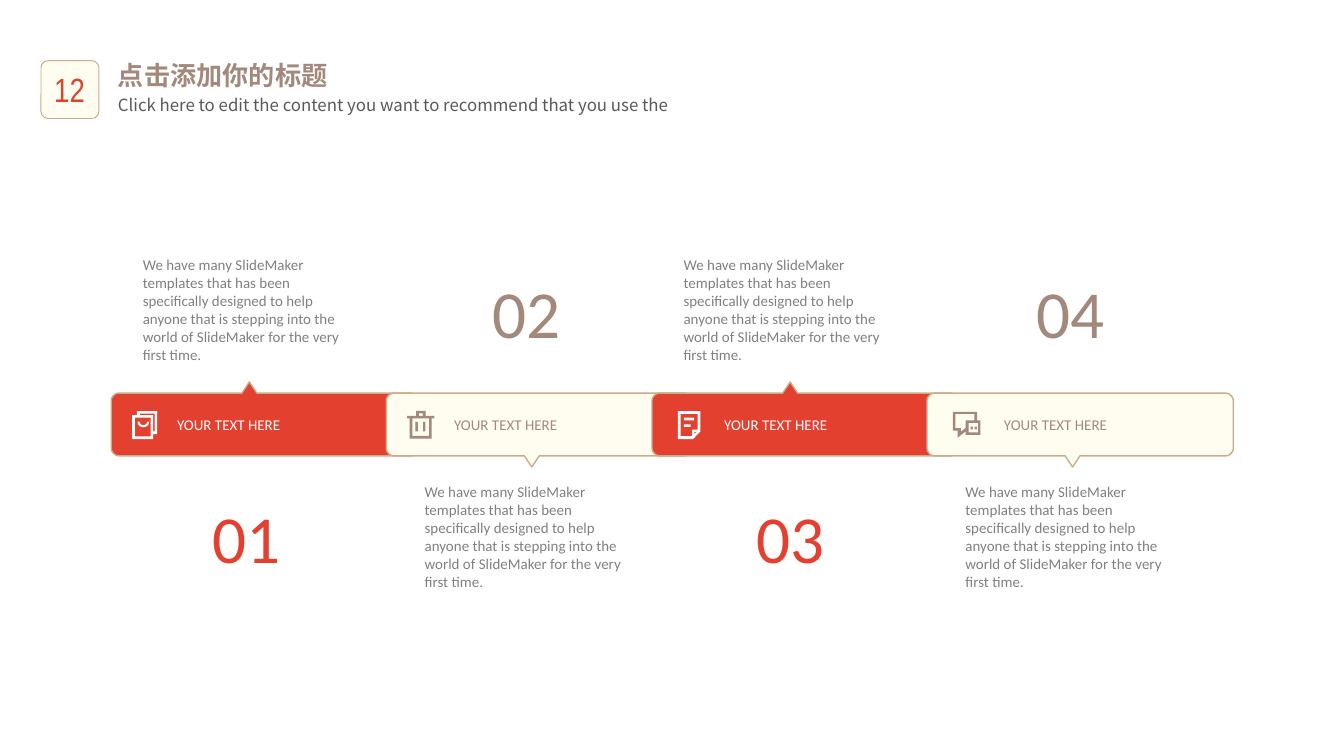
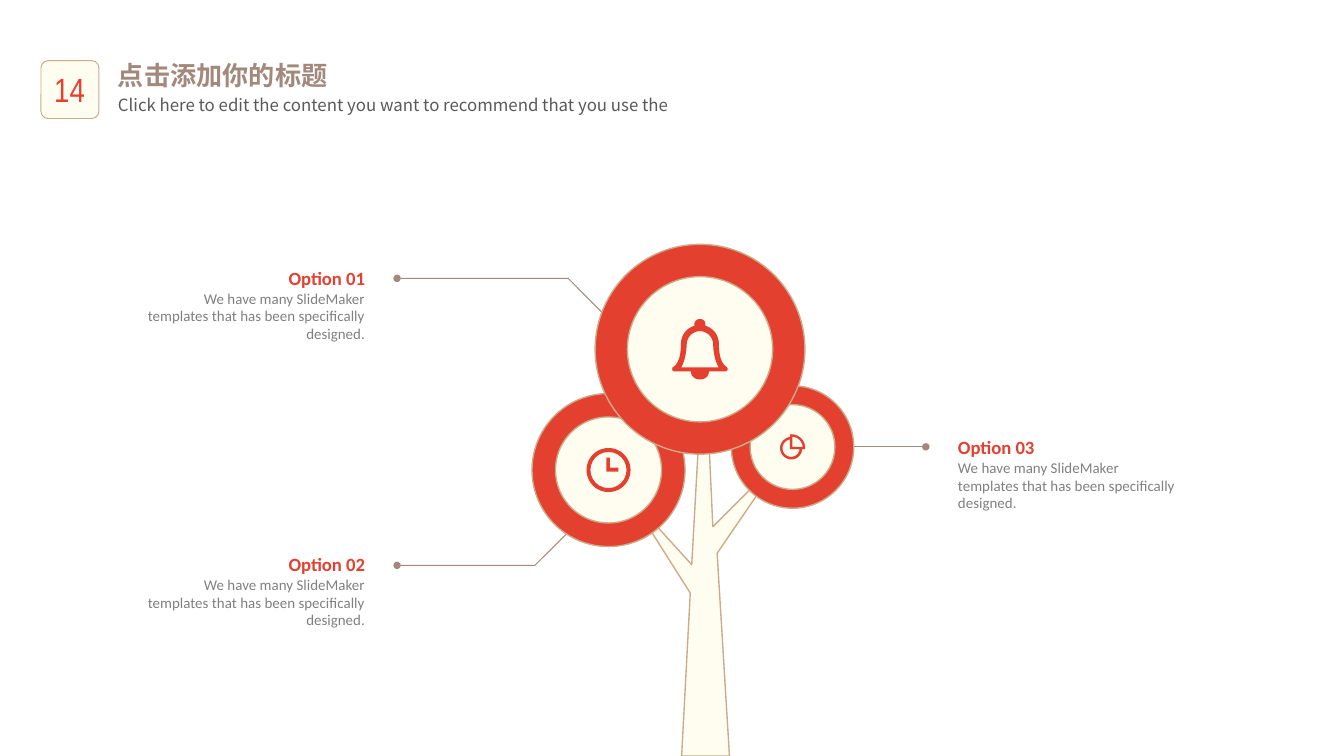
"""Build two infographic slides: a four-step banner and a tree with three options."""
from dataclasses import dataclass
from lxml.etree import SubElement as Sub
from pptx import Presentation
from pptx.dml.color import RGBColor as Rgb
from pptx.enum.shapes import MSO_CONNECTOR as Link, MSO_SHAPE as Kind
from pptx.enum.text import MSO_ANCHOR as Anchor, MSO_AUTO_SIZE as Fit, PP_ALIGN as Align
from pptx.oxml.ns import qn
from pptx.util import Pt


@dataclass(frozen=True)
class Theme:
    red: str = "E4402F"
    cream: str = "FFFDEF"
    tan: str = "CBAB89"
    brown: str = "A2897B"
    white: str = "FFFFFF"
    gray: str = "808080"
    dark: str = "595959"
    face: str = "Calibri"
    head: str = "Noto Sans CJK SC"
    slim: str = "Arial Narrow"
    title: int = 14
    sub: int = 9
    badge: int = 18
    count: int = 36
    name: int = 10
    text: int = 8


def draw(page, fig, fill=None, edge=None, box=None, at=(0, 0), wide=0.75, shut=True):
    """Draw a preset in a box, or contours of points and six-number curves."""
    if box:
        shape = page.shapes.add_shape(fig, *map(Pt, box))
    else:
        pen = None
        for path in fig:
            dots = []
            for step in path:
                if len(step) == 2:
                    dots.append(step)
                    continue
                ends = [dots[-1], step[:2], step[2:4], step[4:]]
                for t in (n / 8 for n in range(1, 9)):
                    u = 1 - t
                    mix = (u ** 3, 3 * u * u * t, 3 * u * t * t, t ** 3)
                    dots.append(tuple(sum(m * e[k] for m, e in zip(mix, ends)) for k in (0, 1)))
            dots = [((x + at[0]) * 100, (y + at[1]) * 100) for x, y in dots]
            if pen:
                pen.move_to(*dots[0])
            else:
                pen = page.shapes.build_freeform(*dots[0], scale=Pt(1) / 100)
            pen.add_line_segments(dots[1:], close=shut)
        shape = pen.convert_to_shape()
    shape.shadow.inherit = False
    if fill:
        shape.fill.solid()
        shape.fill.fore_color.rgb = Rgb.from_string(fill)
    else:
        shape.fill.background()
    if edge:
        shape.line.color.rgb = Rgb.from_string(edge)
        shape.line.width = Pt(wide)
    else:
        shape.line.fill.background()
    return shape


def write(shape, rows, face, side=Align.LEFT, wrap=True, pad=True, fit=Fit.SHAPE_TO_FIT_TEXT):
    """Fill a shape with rows of text, size, colour and weight."""
    frame = shape.text_frame
    frame.text = "\n".join(row[0] for row in rows)
    frame.word_wrap = wrap
    frame.auto_size = fit
    frame.vertical_anchor = Anchor.TOP
    if not pad:
        frame.margin_left = frame.margin_right = frame.margin_top = frame.margin_bottom = 0
    for para, (_, size, tint, bold) in zip(frame.paragraphs, rows):
        para.alignment = side
        para.space_before = Pt(0)
        font = para.runs[0].font
        font.size, font.bold, font.name = Pt(size), bold, face
        font.color.rgb = Rgb.from_string(tint)
        Sub(para.runs[0]._r.get_or_add_rPr(), qn("a:ea"), typeface=face)
    return frame


look = Theme()
deck = Presentation()
deck.slide_width, deck.slide_height = Pt(720), Pt(405)

pages = []
for number in ("12", "14"):
    page = deck.slides.add_slide(deck.slide_layouts[1])
    pages.append(page)
    badge = draw(page, Kind.ROUNDED_RECTANGLE, look.cream, look.tan, (22, 32.5, 31, 31), wide=0.5)
    badge.adjustments[0] = 0.123
    box = page.shapes.add_textbox(*map(Pt, (18.9, 33.4, 36.7, 29)))
    frame = write(box, [(number, look.badge, look.red, False)], look.slim, Align.CENTER)
    frame.vertical_anchor = Anchor.MIDDLE
    title, sub = page.placeholders
    heads = (
        (title, "点击添加你的标题", look.title, look.brown, True, 28.1, 33.8),
        (sub, "Click here to edit the content you want to recommend that you use the",
         look.sub, look.dark, False, 47.2, 23.8),
    )
    for hold, words, size, tint, bold, top, high in heads:
        hold.left, hold.top, hold.width, hold.height = map(Pt, (56, top, 620.6, high))
        frame = write(hold, [(words, size, tint, bold)], look.head, fit=Fit.NONE)
        prop = frame.paragraphs[0]._p.get_or_add_pPr()
        prop.set("marL", "0")
        prop.set("indent", "0")
        Sub(prop, qn("a:buNone"))

steps, tree = pages

bag = [
    [[(13.4, 0), (2.5, 0), (2.5, 2.2), (0, 2.2), (0, 15), (11.3, 15), (11.3, 12.4), (13.4, 12.4)],
     [(1.5, 3.6), (9.9, 3.6), (9.9, 13.6), (1.5, 13.6)],
     [(12, 10.9), (11.3, 10.9), (11.3, 2.2), (4.1, 2.2), (4.1, 1.4), (12, 1.4)]],
    [[(2.9, 5.7), (4, 5.7), (4, 8.2, 8.1, 8.2, 8.1, 5.7), (9.2, 5.7), (9.2, 9.7, 2.9, 9.7, 2.9, 5.7)]],
]
can = [
    [[(14.6, 2.7), (10, 2.7), (10, 0), (4.9, 0), (4.9, 2.7), (0, 2.7), (0, 4), (1.4, 4),
      (1.4, 14.8), (13.2, 14.8), (13.2, 4), (14.6, 4)],
     [(6.3, 1.3), (8.4, 1.3), (8.4, 2.7), (6.3, 2.7)],
     [(2.8, 4), (11.8, 4), (11.8, 13.4), (2.8, 13.4)]],
]
note = [
    [[(0, 0), (0, 15), (8.2, 15), (12.1, 11), (12.1, 0)],
     [(1.5, 1.5), (10.7, 1.5), (10.7, 10), (7.7, 10), (7.7, 13.5), (1.5, 13.5)],
     [(10, 11.2), (8.9, 12.4), (8.9, 11.2)]],
]
chat = [
    [[(13, 4.5), (13, 0), (0, 0), (0, 10), (2.5, 10), (2.5, 13.8), (6.8, 10.4), (6.8, 12.3),
      (14.8, 12.3), (14.8, 4.5)],
     [(6.8, 8.6), (4.3, 10.6), (4.3, 8.6), (1.4, 8.6), (1.4, 1.1), (11.5, 1.1), (11.5, 4.5), (6.8, 4.5)],
     [(8.4, 5.8), (13.5, 5.8), (13.5, 11), (8.4, 11)]],
]
icons = (
    (bag, (), (70.8, 220.2)),
    (can, ((4.5, 5.8, 1.3, 5.2), (8.6, 5.8, 1.3, 5.2)), (218.1, 220.2)),
    (note, ((3.3, 3.6, 5.4, 1.4), (3.3, 7.2, 3.6, 1.4)), (363.1, 220.2)),
    (chat, ((9.5, 7.9, 1.3, 1.4), (11.6, 7.9, 1.3, 1.4)), (510.5, 220.7)),
)
labels = (87.8, 236.2, 380.9, 530.8)
counts = (107, 257, 398.2, 548.2)
story = ("We have many SlideMaker templates that has been specifically designed to help anyone "
         "that is stepping into the world of SlideMaker for the very first time.")
wide, high, bend = 164.1, 33.6, 4
for i, (icon, bars, spot) in enumerate(icons):
    pair, low = divmod(i, 2)
    banner = [(wide - bend, 0)]
    if not low:
        banner += [(78, 0), (74, -6), (70, 0)]
    banner += [(bend, 0), (2, 0, 0, 2, 0, bend), (0, high - bend), (0, high - 2, 2, high, bend, high)]
    if low:
        banner += [(74, high), (78, high + 6), (82, high)]
    banner += [(wide - bend, high), (wide - 2, high, wide, high - 2, wide, high - bend),
               (wide, bend), (wide, 2, wide - 2, 0, wide - bend, 0)]
    left = 59.6 + 289.7 * pair + 147.3 * low
    draw(steps, [banner], look.cream if low else look.red, look.tan, at=(left, 210.6))
    ink = look.brown if low else look.white
    for part in icon:
        draw(steps, part, ink, at=spot)
    for x, y, w, h in bars:
        draw(steps, Kind.RECTANGLE, ink, box=(spot[0] + x, spot[1] + y, w, h))
    box = steps.shapes.add_textbox(*map(Pt, (labels[i], 218.9, 69.8 if low else 85, 16.9)))
    write(box, [("YOUR TEXT HERE", look.text, ink, False)], look.face, wrap=False)
    box = steps.shapes.add_textbox(
        *map(Pt, (76.5 + 289.7 * pair + 151 * low, 258.8 if low else 137.1, 113, 57.6)))
    write(box, [(story, look.text, look.gray, False)], look.face, pad=False)
    box = steps.shapes.add_textbox(*map(Pt, (counts[i], 141.8 if low else 262.1, 51, 51)))
    tint = look.brown if low else look.red
    write(box, [(f"0{i + 1}", look.count, tint, False)], look.face, wrap=False)

brief = "We have many SlideMaker templates that has been specifically designed."
options = (("Option 01", 76.7, 142.9, Align.RIGHT), ("Option 02", 76.7, 296.2, Align.RIGHT),
           ("Option 03", 513.2, 233.5, Align.LEFT))
for name, left, top, side in options:
    box = tree.shapes.add_textbox(*map(Pt, (left, top, 118.8, 41)))
    write(box, [(name, look.name, look.red, True), (brief, look.text, look.gray, False)],
          look.face, side, pad=False)

leads = [
    draw(tree, [path], edge=look.brown, wide=0.5, shut=False)
    for path in ([(325.6, 170.5), (304.3, 149.1), (212.7, 149.1)],
                 [(306.5, 283), (286.6, 302.9), (212.7, 302.9)])
]
link = tree.shapes.add_connector(Link.STRAIGHT, *map(Pt, (453, 239.4, 496, 239.4)))
link.line.color.rgb = Rgb.from_string(look.brown)
link.line.width = Pt(0.5)
Sub(link._element.spPr, qn("a:effectLst"))
for lead in (*leads, link):
    Sub(lead.line._get_or_add_ln(), qn("a:tailEnd"), type="oval", w="sm", len="sm")

trunk = [(365.2, 405), (390.8, 405), (384.2, 296.4), (419.8, 244.4), (381.9, 282.2), (377.3, 182),
         (370.6, 302.5), (336.2, 264.7), (369.8, 317.7)]
draw(tree, [trunk], look.cream, look.tan)

crowns = ((424.6, 239.5, 32.8, 22.7), (326, 251.8, 41, 28.4), (375, 187.1, 56.2, 38.9))
for x, y, *radii in crowns:
    for r, tint in zip(radii, (look.red, look.cream)):
        draw(tree, Kind.OVAL, tint, look.tan, (x - r, y - r, 2 * r, 2 * r))

pie = [
    [(13.4, 7.2), (13.4, 3.1, 10, 0, 6.1, 0), (5.3, 0), (5.3, 1.4), (2.4, 1.9, 0, 4.3, 0, 7.5),
     (0, 10.7, 2.6, 13.5, 6, 13.5), (8.9, 13.5, 11.6, 11.4, 11.8, 8), (13.4, 8)],
    [(5.3, 2.7), (5.3, 8), (10.4, 8), (10.2, 10.3, 8.3, 12.1, 5.9, 12.1),
     (3.3, 12.1, 1.3, 10, 1.3, 7.5), (1.3, 5.1, 3, 3.2, 5.3, 2.7)],
    [(6.6, 6.8), (6.6, 1.3), (9.6, 1.5, 11.9, 3.9, 12.1, 6.8)],
]
bell = [
    [(29.5, 25.9), (24.8, 23.3, 25.2, 13.7, 25.2, 13.7), (25.2, 8.6, 22.3, 5, 18, 3.6), (18, 2.9),
     (18, 1.2, 16.6, 0, 15, 0), (13.4, 0, 12, 1.2, 12, 2.9), (12, 3.6),
     (7.7, 5, 4.8, 8.6, 4.8, 13.7), (4.8, 13.7, 5.2, 23.3, 0.5, 25.9), (-0.1, 26.4, 0, 28, 1.4, 28.1),
     (10.1, 28.1), (10.4, 31, 12.4, 32.4, 15, 32.4), (17.6, 32.4, 19.6, 31, 19.9, 28.1),
     (28.6, 28.1), (30, 28, 30.1, 26.4, 29.5, 25.9)],
    [(5, 25.9), (7.9, 20.9, 7.9, 13.7, 7.9, 13.7), (7.9, 9.4, 11.5, 6.5, 15, 6.5),
     (18.5, 6.5, 22.1, 9.4, 22.1, 13.7), (22.1, 13.7, 22.1, 20.9, 25, 25.9)],
]
hands = [[(0, 0), (2, 0), (2, 5.4), (6.5, 5.4), (6.5, 7.5), (0, 7.5)]]
for fig, spot in ((pie, (417.9, 232.7)), (bell, (360, 170.9)), (hands, (324.8, 245.2))):
    draw(tree, fig, look.red, at=spot)
clock = draw(tree, Kind.DONUT, look.red, box=(314.2, 240, 23.6, 23.6))
clock.adjustments[0] = 0.09

deck.save("out.pptx")
